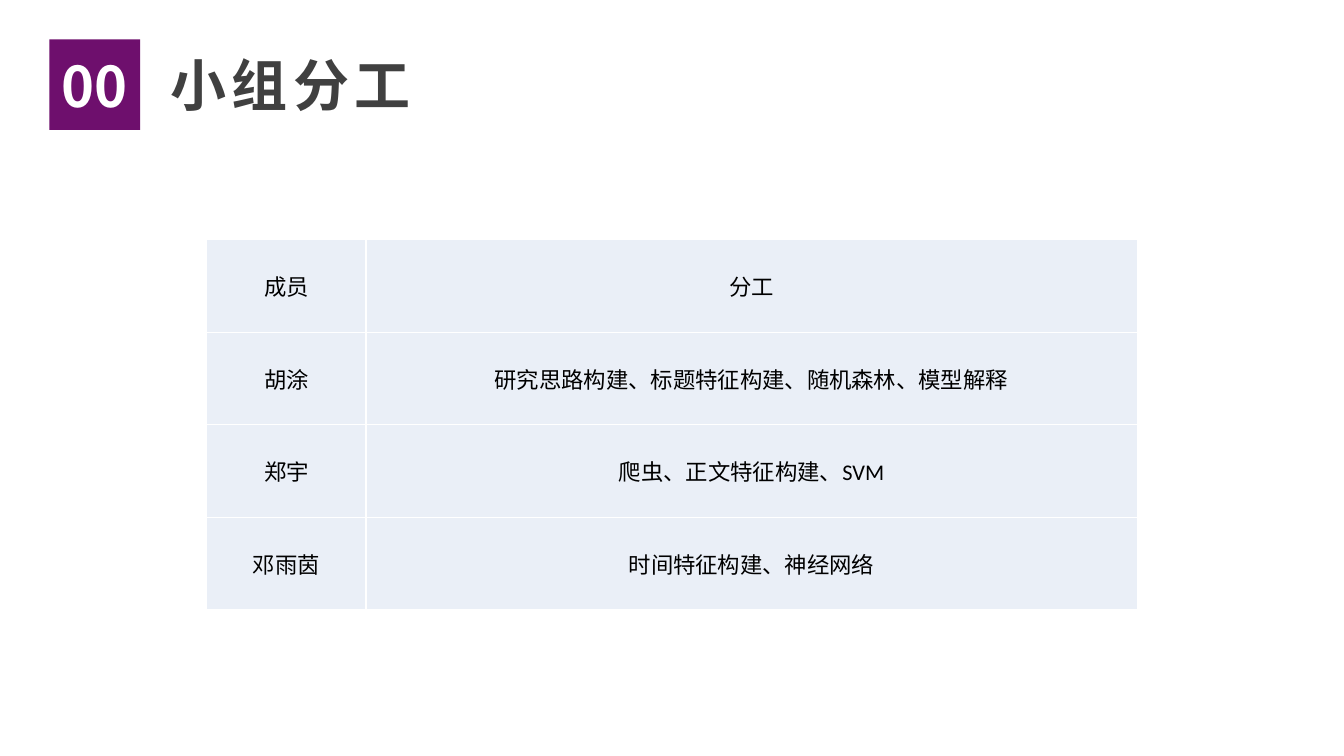
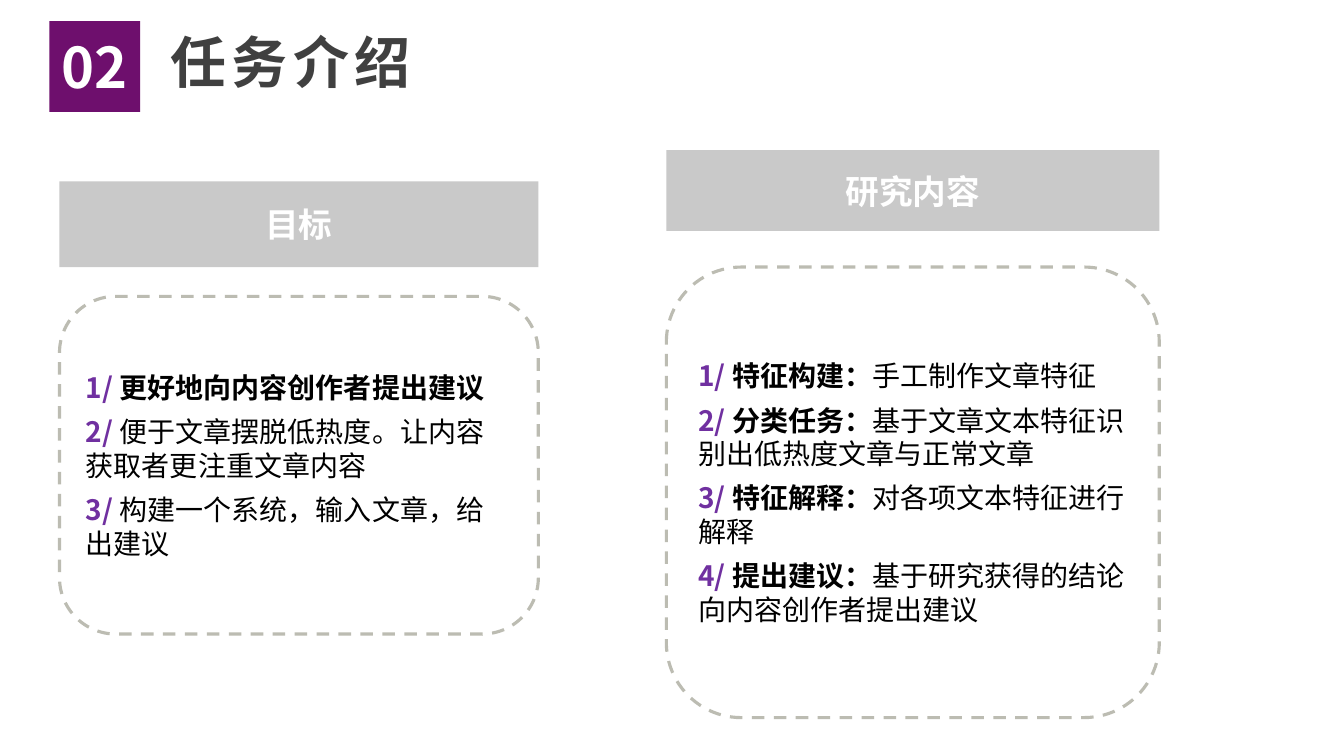
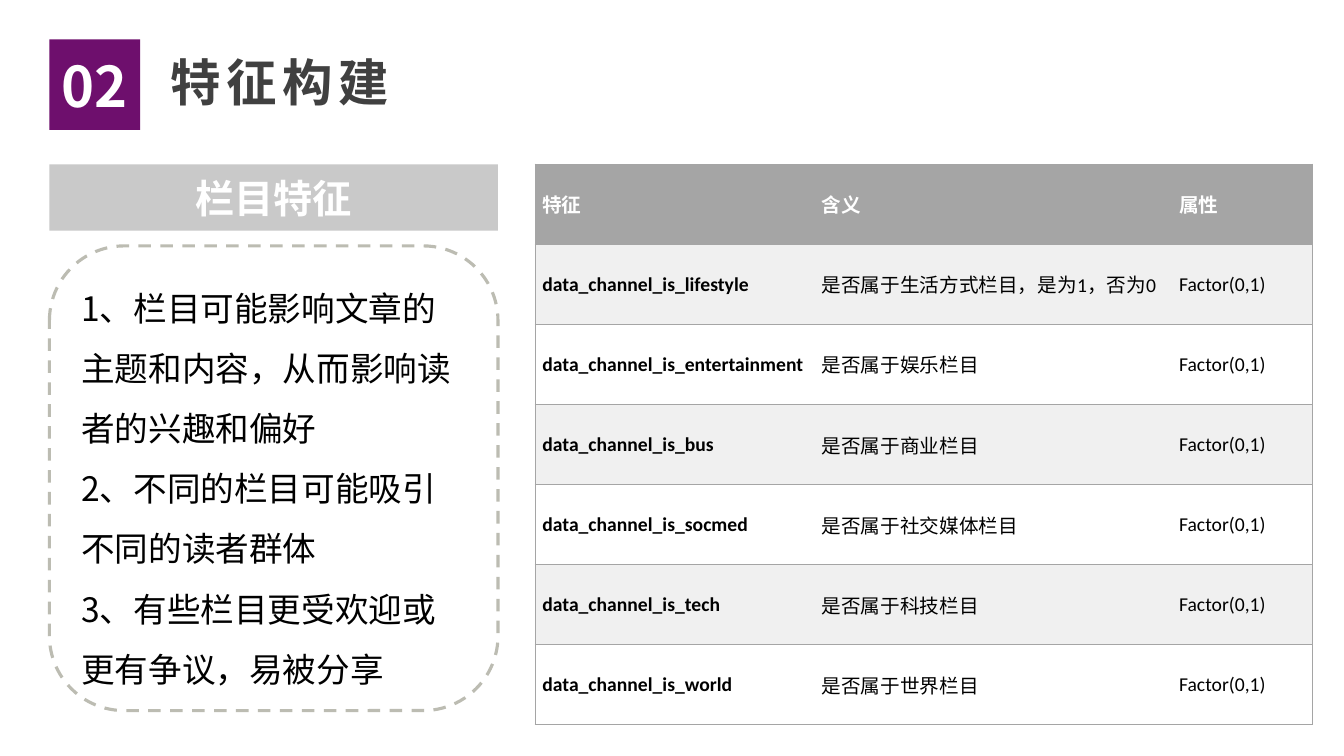
from dataclasses import dataclass

from lxml.etree import SubElement
from pptx import Presentation
from pptx.dml.color import RGBColor
from pptx.enum.dml import MSO_LINE_DASH_STYLE as Dash
from pptx.enum.shapes import MSO_SHAPE as Shape
from pptx.enum.text import MSO_ANCHOR as Anchor, PP_ALIGN as Align
from pptx.oxml.ns import qn
from pptx.util import Inches, Pt


@dataclass(frozen=True)
class Theme:
    heading_font: str = "Noto Sans CJK SC"
    table_font: str = "Calibri"
    purple: str = "6E0F6D"
    violet: str = "7030A0"
    title_gray: str = "404040"
    band_gray: str = "C9C9C9"
    dash_gray: str = "BCBCB2"
    table_gray: str = "A5A5A5"
    stripe_gray: str = "F0F0F0"
    pale_blue: str = "EAEFF7"
    white: str = "FFFFFF"
    black: str = "000000"
    badge_size: int = 40
    title_size: int = 40
    small_title_size: int = 36
    band_size: int = 24
    large_band_size: int = 28
    item_size: int = 20
    note_size: int = 24
    roles_size: int = 16
    features_size: int = 14


THEME = Theme()
WIDTH, HEIGHT = Inches(13.333), Inches(7.5)
MARGIN = 3.68

ROLES = [
    ("成员", "分工"),
    ("胡涂", "研究思路构建、标题特征构建、随机森林、模型解释"),
    ("郑宇", "爬虫、正文特征构建、SVM"),
    ("邓雨茵", "时间特征构建、神经网络"),
]
GOALS = [
    ("更好地向内容创作者提出建议", ""),
    ("", "便于文章摆脱低热度。让内容获取者更注重文章内容"),
    ("", "构建一个系统，输入文章，给出建议"),
]
RESEARCH = [
    ("特征构建：", "手工制作文章特征"),
    ("分类任务：", "基于文章文本特征识别出低热度文章与正常文章"),
    ("特征解释：", "对各项文本特征进行解释"),
    ("提出建议：", "基于研究获得的结论向内容创作者提出建议"),
]
CHANNEL_NOTES = [
    "1、栏目可能影响文章的主题和内容，从而影响读者的兴趣和偏好",
    "2、不同的栏目可能吸引不同的读者群体",
    "3、有些栏目更受欢迎或更有争议，易被分享",
]
CHANNELS = [
    ("lifestyle", "生活方式栏目，是为1，否为0"),
    ("entertainment", "娱乐栏目"),
    ("bus", "商业栏目"),
    ("socmed", "社交媒体栏目"),
    ("tech", "科技栏目"),
    ("world", "世界栏目"),
]


def across(share):
    """Length of a percentage of the slide's width."""
    return round(WIDTH * share / 100)


def down(share):
    """Length of a percentage of the slide's height."""
    return round(HEIGHT * share / 100)


def place(left, top, width, height):
    return across(left), down(top), across(width), down(height)


def apply(target, **values):
    for name, value in values.items():
        setattr(target, name, value)


def paint(fill, color):
    fill.solid()
    fill.fore_color.rgb = RGBColor.from_string(color)


def add_run(paragraph, text, size, color, bold=False,
            font=THEME.heading_font, spacing=0):
    run = paragraph.add_run()
    run.text = text
    apply(run.font, name=font, size=Pt(size), bold=bold)
    run.font.color.rgb = RGBColor.from_string(color)
    properties = run.font._element
    SubElement(properties, qn("a:ea"), typeface=THEME.heading_font)
    if spacing:
        properties.set("spc", str(spacing * 100))


def add_paragraphs(frame, count, **values):
    """Format and return the given number of paragraphs of an empty frame."""
    paragraphs = [frame.paragraphs[0]]
    paragraphs += [frame.add_paragraph() for _ in range(count - 1)]
    for paragraph in paragraphs:
        apply(paragraph, **values)
    return paragraphs


def add_box(slide, area, text, size, fill):
    """A filled rectangle with one centred white line."""
    box = slide.shapes.add_shape(Shape.RECTANGLE, *place(*area))
    box.shadow.inherit = False
    paint(box.fill, fill)
    box.line.fill.background()
    frame = box.text_frame
    apply(frame, word_wrap=True, vertical_anchor=Anchor.MIDDLE,
          margin_left=0, margin_right=0)
    paragraph, = add_paragraphs(frame, 1, alignment=Align.CENTER)
    add_run(paragraph, text, size, THEME.white, bold=True)


def add_heading(slide, number, title, badge_top=5.2, title_top=6,
                size=THEME.title_size):
    add_box(slide, (MARGIN, badge_top, 6.75, 12), number,
            THEME.badge_size, THEME.purple)
    box = slide.shapes.add_textbox(*place(11.93, title_top, 46, 10.27))
    apply(box.text_frame, word_wrap=True, vertical_anchor=Anchor.MIDDLE)
    add_run(box.text_frame.paragraphs[0], title, size, THEME.title_gray,
            bold=True, spacing=4)


def add_panel(slide, area):
    """A dashed rounded outline; returns its text frame."""
    panel = slide.shapes.add_shape(Shape.ROUNDED_RECTANGLE, *place(*area))
    panel.shadow.inherit = False
    panel.fill.background()
    paint(panel.line.fill, THEME.dash_gray)
    apply(panel.line, width=Pt(2.25), dash_style=Dash.DASH)
    apply(panel.text_frame, word_wrap=True, vertical_anchor=Anchor.MIDDLE)
    return panel.text_frame


def add_numbered_items(frame, items):
    paragraphs = add_paragraphs(frame, len(items), alignment=Align.LEFT,
                                line_spacing=Pt(24), space_after=Pt(7.5))
    size = THEME.item_size
    for number, (paragraph, (lead, body)) in enumerate(
            zip(paragraphs, items), start=1):
        add_run(paragraph, f"{number}/ ", size, THEME.violet, bold=True)
        if lead:
            add_run(paragraph, lead, size, THEME.black, bold=True)
        if body:
            add_run(paragraph, body, size, THEME.black)


def add_notes_list(frame, notes):
    paragraphs = add_paragraphs(frame, len(notes), alignment=Align.LEFT,
                                line_spacing=Pt(43))
    for paragraph, note in zip(paragraphs, notes):
        add_run(paragraph, note, THEME.note_size, THEME.black)


def set_borders(cell, color, sides):
    """Draw the named sides (L, R, T, B) and clear the others."""
    properties = cell._tc.get_or_add_tcPr()
    for position, side in enumerate("LRTB"):
        border = properties.makeelement(qn(f"a:ln{side}"), w=str(Pt(1)))
        properties.insert(position, border)
        if side in sides:
            fill = SubElement(border, qn("a:solidFill"))
            SubElement(fill, qn("a:srgbClr"), val=color)
        else:
            SubElement(border, qn("a:noFill"))


def add_grid(slide, left, top, height, columns, rows, style):
    """A table; style(row, column) gives fill, sides, text colour and bold."""
    table = slide.shapes.add_table(
        len(rows), len(columns),
        *place(left, top, sum(columns), height)).table
    apply(table, first_row=False, horz_banding=False)
    for column, width in zip(table.columns, columns):
        column.width = across(width)
    for row_index, row in enumerate(rows):
        for column_index, text in enumerate(row):
            cell = table.cell(row_index, column_index)
            look = style(row_index, column_index)
            apply(cell, vertical_anchor=Anchor.MIDDLE,
                  margin_left=look["inset"], margin_right=look["inset"],
                  margin_top=0, margin_bottom=0)
            paint(cell.fill, look["fill"])
            set_borders(cell, look["border"], look["sides"])
            paragraph, = add_paragraphs(cell.text_frame, 1,
                                        alignment=look["alignment"])
            add_run(paragraph, text, look["size"], look["color"],
                    look["bold"], THEME.table_font)


def roles_style(row, column):
    return dict(fill=THEME.pale_blue, border=THEME.white, sides="LRTB",
                color=THEME.black, bold=False, size=THEME.roles_size,
                alignment=Align.CENTER, inset=Inches(0.01))


def features_style(row, column):
    header = row == 0
    stripe = THEME.stripe_gray if row % 2 else THEME.white
    return dict(fill=THEME.table_gray if header else stripe,
                border=THEME.table_gray,
                sides=("LTB", "TB", "RTB")[column],
                color=THEME.white if header else THEME.black,
                bold=header or column == 0, size=THEME.features_size,
                alignment=Align.JUSTIFY, inset=Inches(0.07))


def build_roles(slide):
    add_heading(slide, "00", "小组分工")
    add_grid(slide, 15.38, 31.73, 48.93, (11.85, 57.38), ROLES, roles_style)


def build_task(slide):
    add_heading(slide, "02", "任务介绍", badge_top=2.8, title_top=2.93)
    sections = [
        ("目标", GOALS, 4.43, 35.63, (24, 11.33), (39.2, 44.67)),
        ("研究内容", RESEARCH, 49.58, 36.68, (19.87, 10.67), (35.33, 59.6)),
    ]
    for name, items, left, width, band, panel in sections:
        add_box(slide, (left, band[0], width, band[1]), name,
                THEME.band_size, THEME.band_gray)
        frame = add_panel(slide, (left, panel[0], width, panel[1]))
        add_numbered_items(frame, items)


def build_features(slide):
    add_heading(slide, "02", "特征构建", title_top=5.6,
                size=THEME.small_title_size)
    top, width = 21.73, 33.38
    frame = add_panel(slide, (MARGIN, 32.53, width, 61.47))
    add_notes_list(frame, CHANNEL_NOTES)
    add_box(slide, (MARGIN, top, width, 8.8), "栏目特征",
            THEME.large_band_size, THEME.band_gray)
    rows = [("特征", "含义", "属性")]
    rows += [(f"data_channel_is_{name}", f"是否属于{meaning}", "Factor(0,1)")
             for name, meaning in CHANNELS]
    add_grid(slide, 39.83, top, 74.13, (20.78, 26.6, 10.43), rows,
             features_style)


def main():
    presentation = Presentation()
    apply(presentation, slide_width=WIDTH, slide_height=HEIGHT)
    blank = presentation.slide_layouts[6]
    for build in (build_roles, build_task, build_features):
        build(presentation.slides.add_slide(blank))
    presentation.save("out.pptx")


if __name__ == "__main__":
    main()
